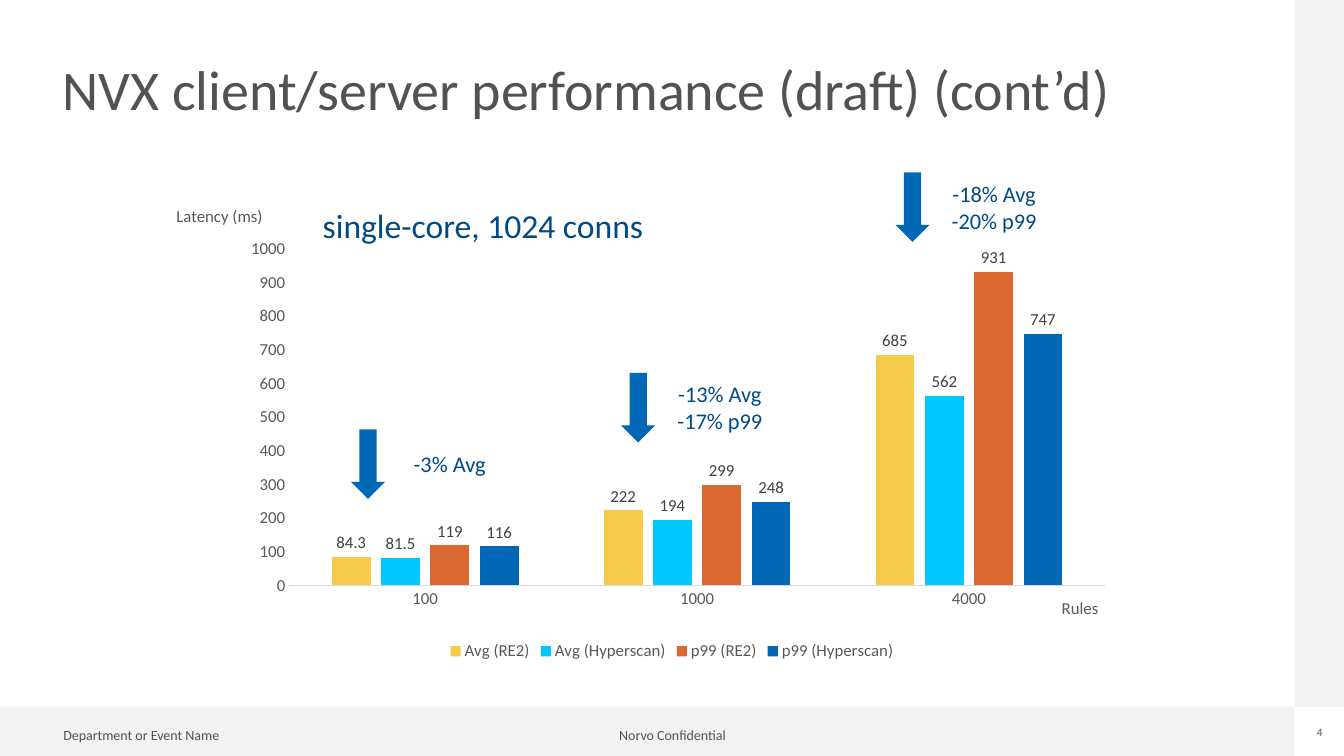
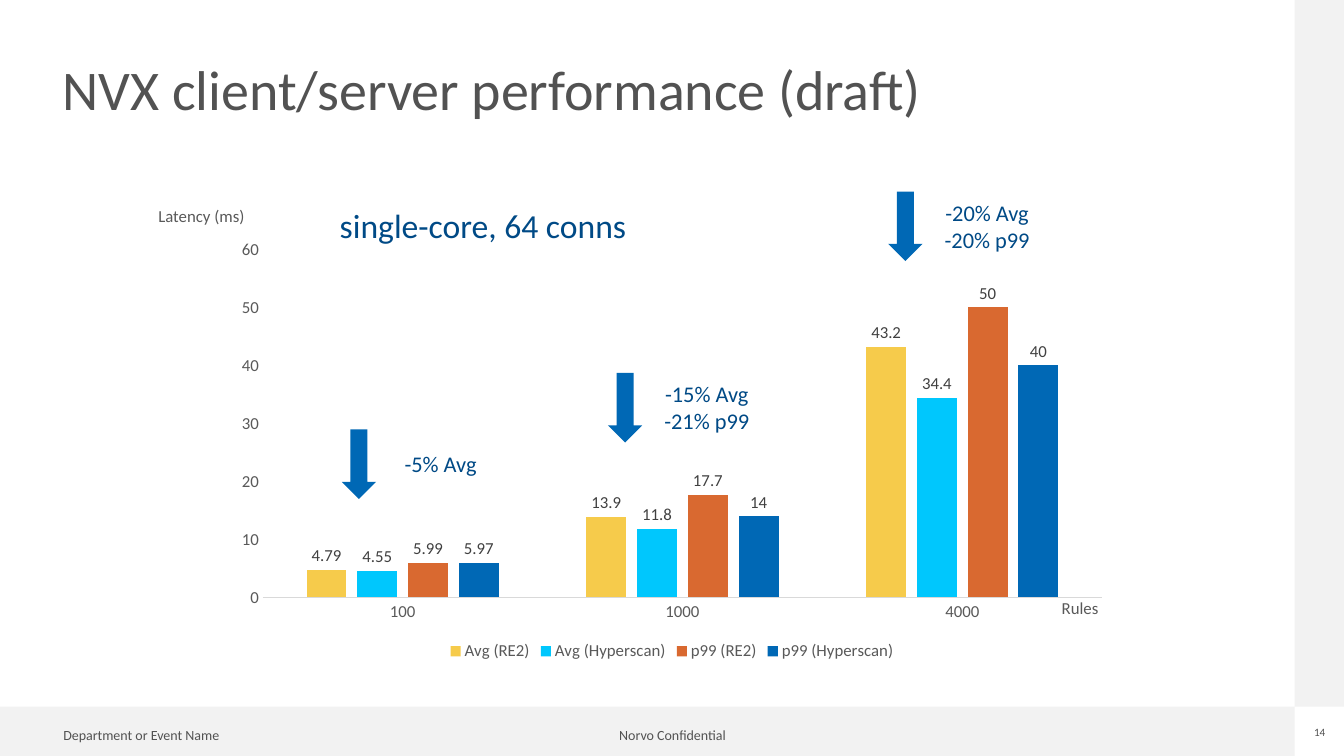
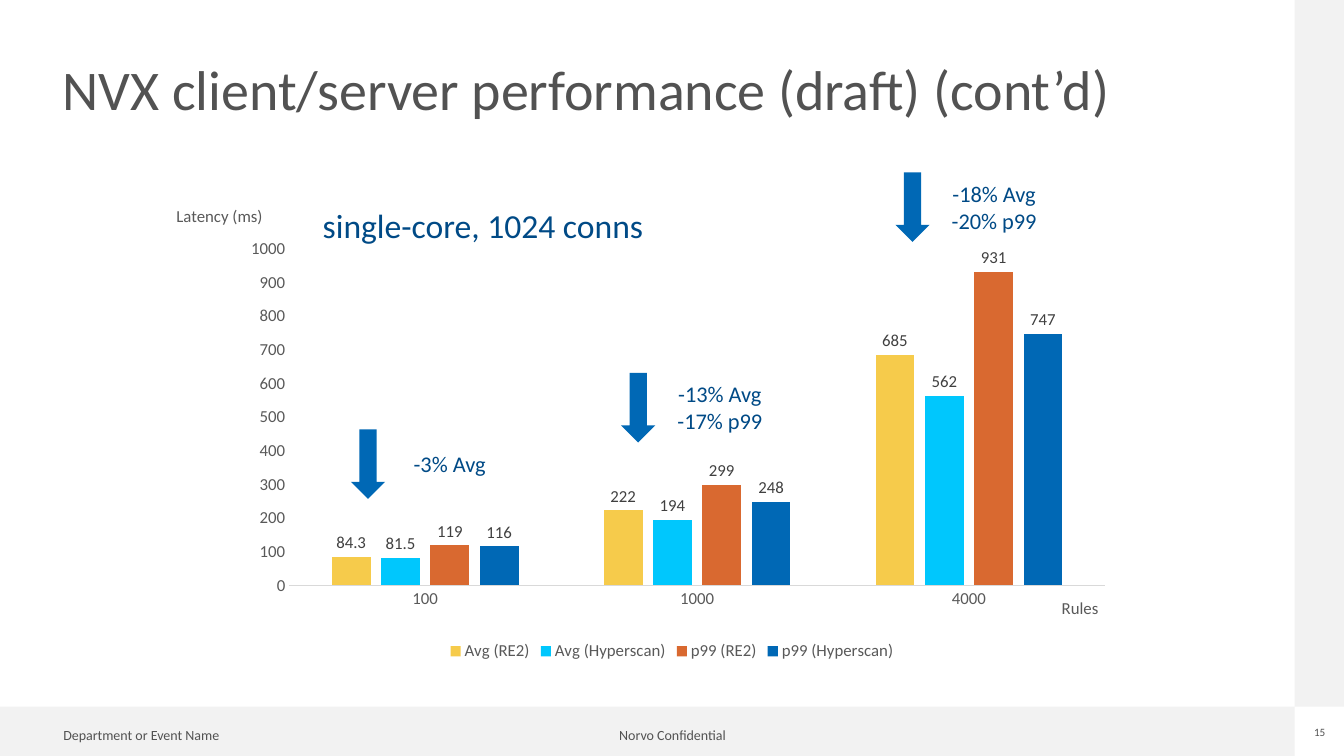
from pptx import Presentation
from pptx.chart.data import CategoryChartData
from pptx.dml.color import RGBColor
from pptx.enum.chart import XL_CHART_TYPE, XL_LABEL_POSITION, XL_LEGEND_POSITION, XL_TICK_MARK
from pptx.enum.shapes import MSO_SHAPE
from pptx.enum.text import MSO_ANCHOR, MSO_AUTO_SIZE, PP_ALIGN
from pptx.oxml import parse_xml
from pptx.oxml.ns import nsdecls
from pptx.util import Inches, Pt

COLUMNS = XL_CHART_TYPE.COLUMN_CLUSTERED
OUTSIDE_END = XL_LABEL_POSITION.OUTSIDE_END
LEGEND_BOTTOM = XL_LEGEND_POSITION.BOTTOM
NO_TICK = XL_TICK_MARK.NONE
RECTANGLE, DOWN_ARROW = MSO_SHAPE.RECTANGLE, MSO_SHAPE.DOWN_ARROW
TOP = MSO_ANCHOR.TOP
NO_FIT = MSO_AUTO_SIZE.NONE
LEFT, CENTER = PP_ALIGN.LEFT, PP_ALIGN.CENTER

FONT = "Calibri"
COLORS = {
    "band": "F2F2F2", "title": "525252", "axis": "595959", "axis_line": "D9D9D9",
    "value": "404040", "accent": "004A86", "arrow": "0068B5",
}
SERIES_COLORS = {
    "Avg (RE2)": "F6CB4B", "Avg (Hyperscan)": "00C7FD",
    "p99 (RE2)": "D96930", "p99 (Hyperscan)": "0068B5",
}
TEXT_STYLES = {
    "title": (40, "title"), "footer": (10, "title"), "number": (8, "title"),
    "axis": (12, "axis"), "value": (12, "value"),
    "change": (16, "accent"), "setup": (24, "accent"),
}
NO_MARGINS = {"margin_left": 0, "margin_top": 0, "margin_right": 0, "margin_bottom": 0}

RULES = ["100", "1000", "4000"]
CHART_BOX = (2.22, 2.29, 8.89, 4.31)

FEW_CONNECTIONS = {
    "setup": "single-core, 64 conns",
    "latency_left": 1.57,
    "axis": {"minimum_scale": 0, "maximum_scale": 60, "major_unit": 10},
    "plot": None,
    "latencies": [(4.79, 13.9, 43.2), (4.55, 11.8, 34.4), (5.99, 17.7, 50), (5.97, 14, 40)],
    "changes": [
        (3.39, 4.26, ["-5% Avg"]),
        (6.03, 3.7, ["-15% Avg", "-21% p99"]),
        (8.81, 1.9, ["-20% Avg", "-20% p99"]),
    ],
}
MANY_CONNECTIONS = {
    "setup": "single-core, 1024 conns",
    "latency_left": 1.75,
    "axis": {"minimum_scale": 0, "maximum_scale": 1000, "major_unit": 100},
    "plot": {"x": 0.073, "y": 0.041, "w": 0.91, "h": 0.775},
    "latencies": [(84.3, 222, 685), (81.5, 194, 562), (119, 299, 931), (116, 248, 747)],
    "changes": [
        (3.48, 4.26, ["-3% Avg"]),
        (6.16, 3.7, ["-13% Avg", "-17% p99"]),
        (8.88, 1.71, ["-18% Avg", "-20% p99"]),
    ],
}
TITLE = "NVX client/server performance (draft)"
SLIDES = [
    (f"{TITLE} (cont’d)", 4, MANY_CONNECTIONS),
    (TITLE, 14, FEW_CONNECTIONS),
    (f"{TITLE} (cont’d)", 15, MANY_CONNECTIONS),
]


def inches(box):
    return [Inches(length) for length in box]


def set_values(target, values):
    for name, value in values.items():
        setattr(target, name, value)


def style_font(font, style):
    size, color = TEXT_STYLES[style]
    set_values(font, {"name": FONT, "size": Pt(size), "bold": False})
    font.color.rgb = RGBColor.from_string(COLORS[color])


def fill_solid(target, color):
    target.fill.solid()
    target.fill.fore_color.rgb = RGBColor.from_string(color)


def write(frame, lines, style, align=LEFT, spacing=None):
    frame.text = "\n".join(lines)
    for paragraph in frame.paragraphs:
        set_values(paragraph, {"alignment": align, "line_spacing": spacing})
        style_font(paragraph.runs[0].font, style)


def add_text(shapes, box, lines, style, align=LEFT, wrap=True, margins=NO_MARGINS, spacing=None):
    frame = shapes.add_textbox(*inches(box)).text_frame
    set_values(frame, {"word_wrap": wrap, "vertical_anchor": TOP, **margins})
    write(frame, lines, style, align, spacing)


def add_plain_shape(shapes, kind, box, color):
    shape = shapes.add_shape(kind, *inches(box))
    shape.shadow.inherit = False
    fill_solid(shape, COLORS[color])
    shape.line.fill.background()


def add_frame(slide, number):
    """Place the bottom and right bands, the footers and the page number."""
    right, bottom, band = 12.84, 7.01, 0.49
    add_plain_shape(slide.shapes, RECTANGLE, (0, bottom, right, band), "band")
    add_plain_shape(slide.shapes, RECTANGLE, (right, 0, band, bottom), "band")
    footers = [(6.02, 1.3, "Norvo Confidential", CENTER), (0.53, 1.93, "Department or Event Name", LEFT)]
    for left, width, text, align in footers:
        add_text(slide.shapes, (left, bottom + 0.17, width, 0.25), [text], "footer",
                 align, wrap=False, margins={}, spacing=0.9)
    add_text(slide.shapes, (right + 0.18, bottom + 0.19, 0.14, 0.13), [str(number)], "number",
             CENTER, wrap=False)


def set_title(slide, text):
    title = slide.shapes.title
    box = inches((0.62, 0.62, 12.04, 1.04))
    set_values(title, dict(zip(("left", "top", "width", "height"), box)))
    set_values(title.text_frame, {"word_wrap": True, "auto_size": NO_FIT,
                                  "vertical_anchor": TOP, **NO_MARGINS})
    write(title.text_frame, [text], "title", spacing=0.9)


def set_plot_area(chart, plot):
    """Fix the inner plot area, given as fractions of the chart."""
    area = chart.element.xpath("c:chart/c:plotArea")[0]
    for layout in area.xpath("c:layout"):
        area.remove(layout)
    modes = "".join(f'<c:{side}Mode val="edge"/>' for side in "xy")
    sizes = "".join(f'<c:{side} val="{share}"/>' for side, share in plot.items())
    area.insert(0, parse_xml(
        f'<c:layout {nsdecls("c")}><c:manualLayout><c:layoutTarget val="inner"/>'
        f"{modes}{sizes}</c:manualLayout></c:layout>"))


def add_latency_chart(slide, box, run):
    data = CategoryChartData()
    data.categories = RULES
    for name, latencies in zip(SERIES_COLORS, run["latencies"]):
        data.add_series(name, latencies)
    chart = slide.shapes.add_chart(COLUMNS, *inches(box), data).chart
    set_values(chart, {"has_title": False, "has_legend": True})
    style_font(chart.font, "axis")
    set_values(chart.legend, {"position": LEGEND_BOTTOM, "include_in_layout": False})
    style_font(chart.legend.font, "axis")

    for axis in (chart.category_axis, chart.value_axis):
        set_values(axis, {"major_tick_mark": NO_TICK, "minor_tick_mark": NO_TICK,
                          "has_major_gridlines": False})
        style_font(axis.tick_labels.font, "axis")
    rules_line = chart.category_axis.format.line
    rules_line.color.rgb = RGBColor.from_string(COLORS["axis_line"])
    rules_line.width = Pt(0.75)
    chart.value_axis.format.line.fill.background()
    set_values(chart.value_axis, run["axis"])

    columns = chart.plots[0]
    set_values(columns, {"gap_width": 219, "overlap": -27, "vary_by_categories": False})
    for series in columns.series:
        fill_solid(series.format, SERIES_COLORS[series.name])
        set_values(series.data_labels, {"show_value": True, "position": OUTSIDE_END})
        style_font(series.data_labels.font, "value")
    if run["plot"]:
        set_plot_area(chart, run["plot"])


def add_change(slide, left, top, lines):
    """Group a down arrow with its percentages, centred on the arrow's height."""
    arrow_height, text_height = 0.69, 0.27 * len(lines)
    parts = slide.shapes.add_group_shape().shapes
    add_plain_shape(parts, DOWN_ARROW, (left, top, 0.34, arrow_height), "arrow")
    text_top = top + (arrow_height - text_height) / 2
    add_text(parts, (left + 0.31, text_top, 1.34, text_height), lines, "change", CENTER)


def add_latency_slide(deck, title, number, run):
    slide = deck.slides.add_slide(deck.slide_layouts.get_by_name("Title Only"))
    add_frame(slide, number)
    set_title(slide, title)
    add_latency_chart(slide, CHART_BOX, run)
    add_text(slide.shapes, (10.53, 5.93, 0.91, 0.2), ["Rules"], "axis")
    add_text(slide.shapes, (run["latency_left"], 2.04, 1.01, 0.2), ["Latency (ms)"], "axis")
    for change in run["changes"]:
        add_change(slide, *change)
    add_text(slide.shapes, (2.8, 2.03, 3.98, 0.4), [run["setup"]], "setup", CENTER)


def main():
    deck = Presentation()
    deck.slide_width, deck.slide_height = inches((13.33, 7.5))
    for title, number, run in SLIDES:
        add_latency_slide(deck, title, number, run)
    deck.save("out.pptx")


if __name__ == "__main__":
    main()
